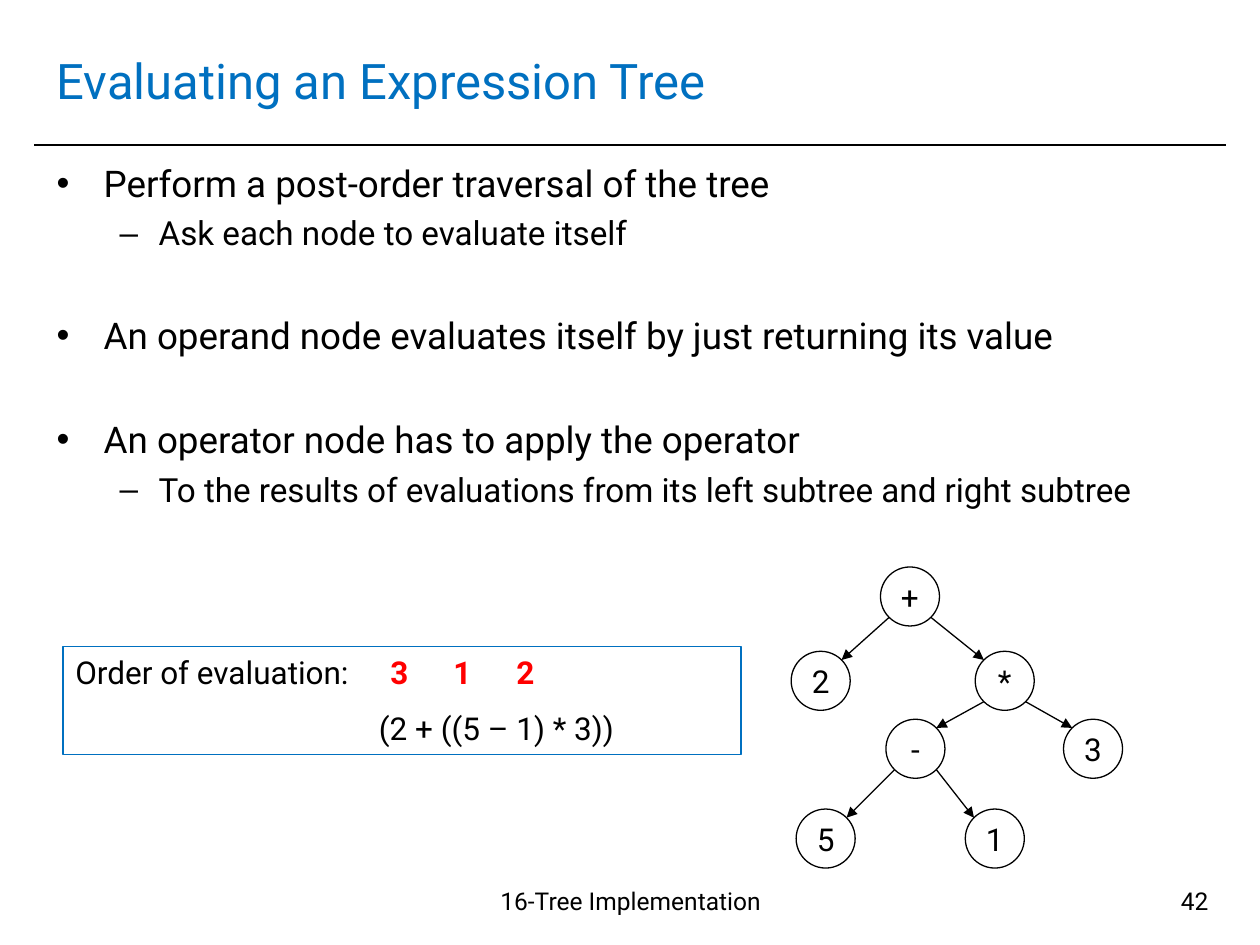
from dataclasses import dataclass, field
from math import sqrt

import pptx
import pptx.dml.color
import pptx.enum.shapes
import pptx.enum.text
import pptx.oxml
import pptx.oxml.ns
import pptx.util

Cm = pptx.util.Cm
Pt = pptx.util.Pt
RGB = pptx.dml.color.RGBColor
Align = pptx.enum.text.PP_ALIGN
Anchor = pptx.enum.text.MSO_ANCHOR
Kind = pptx.enum.shapes.MSO_SHAPE

BLACK = RGB(0, 0, 0)
BLUE = RGB(0x00, 0x70, 0xC0)
RED = RGB(0xFF, 0, 0)
FONT = "Roboto"
NODE = 1.19


@dataclass
class Run:
    text: str
    size: float = 18
    color: RGB = BLACK
    bold: bool = False


@dataclass
class Para:
    runs: list[Run]
    align: Align = Align.LEFT
    before: float = 0
    left: float = 0
    hang: float = 0
    bullet: str = ""
    tabs: list[float] = field(default_factory=list)


@dataclass
class Node:
    sign: str
    left: float
    top: float
    root: str = ""


def apply(target, values: dict) -> None:
    for name, value in values.items():
        setattr(target, name, value)


def add_xml(parent, tag: str, **attrs: str):
    part = pptx.oxml.parse_xml(f"<a:{tag} {pptx.oxml.ns.nsdecls('a')}/>")
    for name, value in attrs.items():
        part.set(name, value)
    parent.append(part)
    return part


def write(shape, paras: list[Para], **frame) -> None:
    text = shape.text_frame
    apply(text, {"word_wrap": True, "vertical_anchor": Anchor.TOP} | frame)
    for index, item in enumerate(paras):
        para = text.add_paragraph() if index else text.paragraphs[0]
        apply(para, {"alignment": item.align, "space_before": Pt(item.before)})
        props = para._p.get_or_add_pPr()
        props.set("marL", str(Cm(item.left)))
        props.set("indent", str(-Cm(item.hang)))
        if item.bullet:
            add_xml(props, "buFont", typeface="Arial")
            add_xml(props, "buChar", char=item.bullet)
        if item.tabs:
            stops = add_xml(props, "tabLst")
            for stop in item.tabs:
                add_xml(stops, "tab", pos=str(Cm(stop)), algn="l")
        for piece in item.runs:
            run = para.add_run()
            run.text = piece.text
            apply(run.font, {"name": FONT, "size": Pt(piece.size), "bold": piece.bold})
            run.font.color.rgb = piece.color


def add_text(slide, box: tuple, paras: list[Para], **frame) -> None:
    write(slide.shapes.add_textbox(*map(Cm, box)), paras, **frame)


def add_shape(slide, kind: Kind, box: tuple, color: RGB, paras: list[Para], **frame) -> None:
    shape = slide.shapes.add_shape(kind, *map(Cm, box))
    shape.shadow.inherit = False
    shape.fill.background()
    shape.line.color.rgb = color
    shape.line.width = Pt(0.75)
    write(shape, paras, **frame)


def add_line(slide, start: tuple, end: tuple, width: float, arrow: bool = False) -> None:
    straight = pptx.enum.shapes.MSO_CONNECTOR.STRAIGHT
    line = slide.shapes.add_connector(straight, *map(Cm, start + end))
    line.line.color.rgb = BLACK
    line.line.width = Pt(width)
    if arrow:
        add_xml(line.line._get_or_add_ln(), "tailEnd", type="triangle")
    add_xml(line._element.spPr, "effectLst")


def join(slide, root: Node, leaf: Node) -> None:
    reach = NODE / 2 / sqrt(2)
    side = 1 if leaf.left > root.left else -1
    start, end = (
        (node.left + NODE / 2 + way * side * reach, node.top + NODE / 2 + way * reach)
        for node, way in ((root, 1), (leaf, -1))
    )
    add_line(slide, start, end, 0.75, True)


def point(text: str, before: float) -> Para:
    return Para([Run(text, 21)], before=before, left=0.95, hang=0.95, bullet="•")


def detail(text: str) -> Para:
    return Para([Run(text, 19)], before=4.4, left=2.06, hang=0.79, bullet="–")


deck = pptx.Presentation()
apply(deck, {"slide_width": Cm(25.4), "slide_height": Cm(19.05)})
slide = deck.slides.add_slide(deck.slide_layouts[6])

add_line(slide, (0.69, 2.92), (24.71, 2.92), 1)
add_text(slide, (0.89, 0.53, 23.6, 2.16),
         [Para([Run("Evaluating an Expression Tree", 28, BLUE)])],
         vertical_anchor=Anchor.MIDDLE)
add_text(slide, (0.89, 3.12, 23.6, 14.2), [
    point("Perform a post-order traversal of the tree", 0),
    detail("Ask each node to evaluate itself"),
    point("An operand node evaluates itself by just returning its value", 34.4),
    point("An operator node has to apply the operator", 34.4),
    detail("To the results of evaluations from its left subtree and right subtree"),
])
add_text(slide, (8.51, 17.73, 8.41, 1.32),
         [Para([Run("16-Tree Implementation", 14)], Align.CENTER)])
add_text(slide, (18.69, 17.73, 5.92, 1.32), [Para([Run("42", 14)], Align.RIGHT)])

nodes = {node.sign: node for node in (
    Node("+", 17.75, 11.43),
    Node("*", 19.66, 13.13, "+"),
    Node("2", 15.95, 13.13, "+"),
    Node("3", 21.44, 14.5, "*"),
    Node("-", 17.86, 14.5, "*"),
    Node("1", 19.46, 16.31, "-"),
    Node("5", 16.05, 16.31, "-"),
)}
for node in nodes.values():
    add_shape(slide, Kind.OVAL, (node.left, node.top, NODE, NODE), BLACK,
              [Para([Run(node.sign)], Align.CENTER)],
              word_wrap=False, vertical_anchor=Anchor.MIDDLE)
    if node.root:
        join(slide, nodes[node.root], node)

add_shape(slide, Kind.RECTANGLE, (1.27, 13.03, 13.67, 2.18), BLUE, [
    Para([Run("Order of evaluation:"), Run("\t3\t1\t2", color=RED, bold=True)],
         tabs=[7.7, 9.18, 10.65]),
    Para([Run("(2 + ((5 – 1) * 3))")], before=10.5, left=6.12),
])

deck.save("out.pptx")
